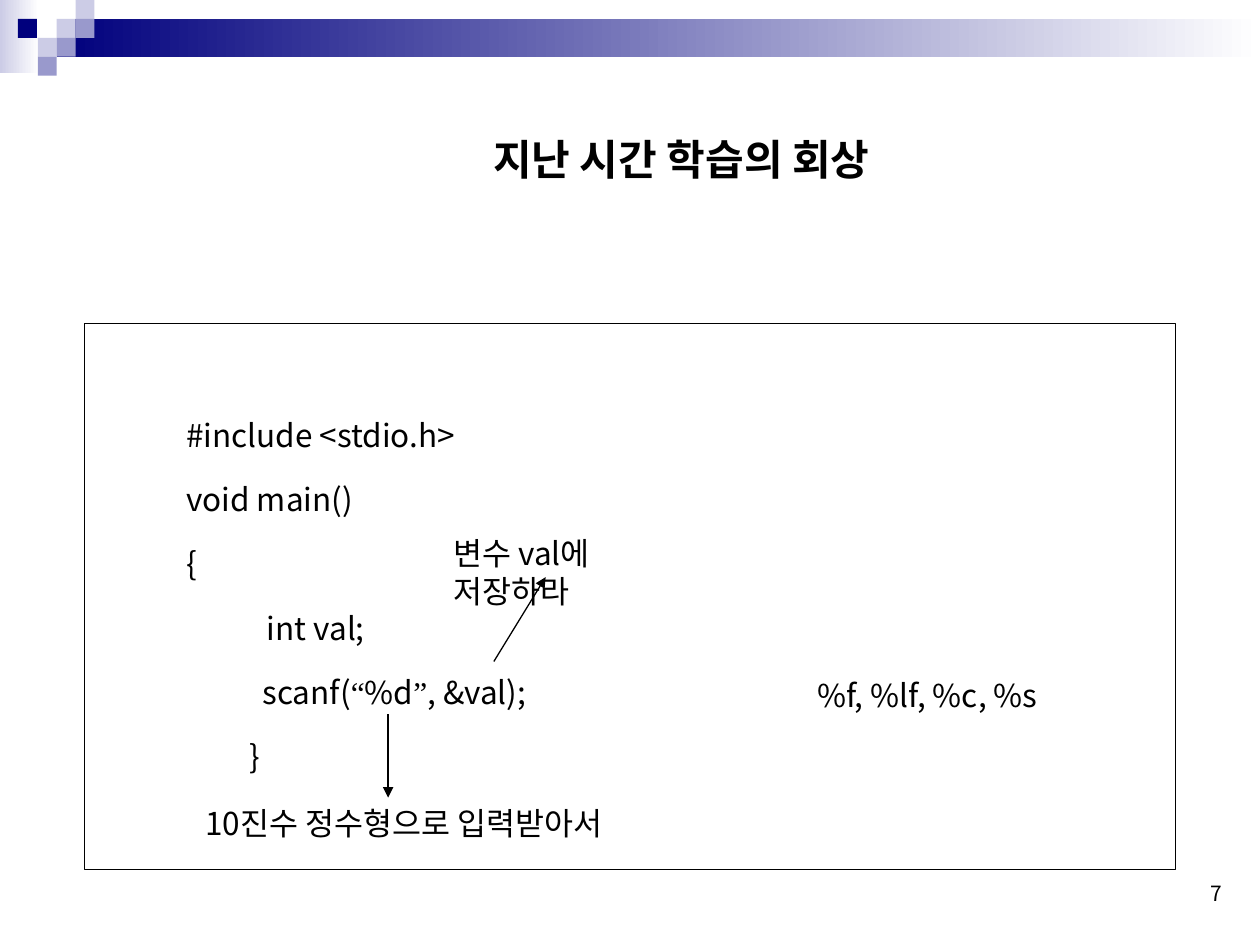
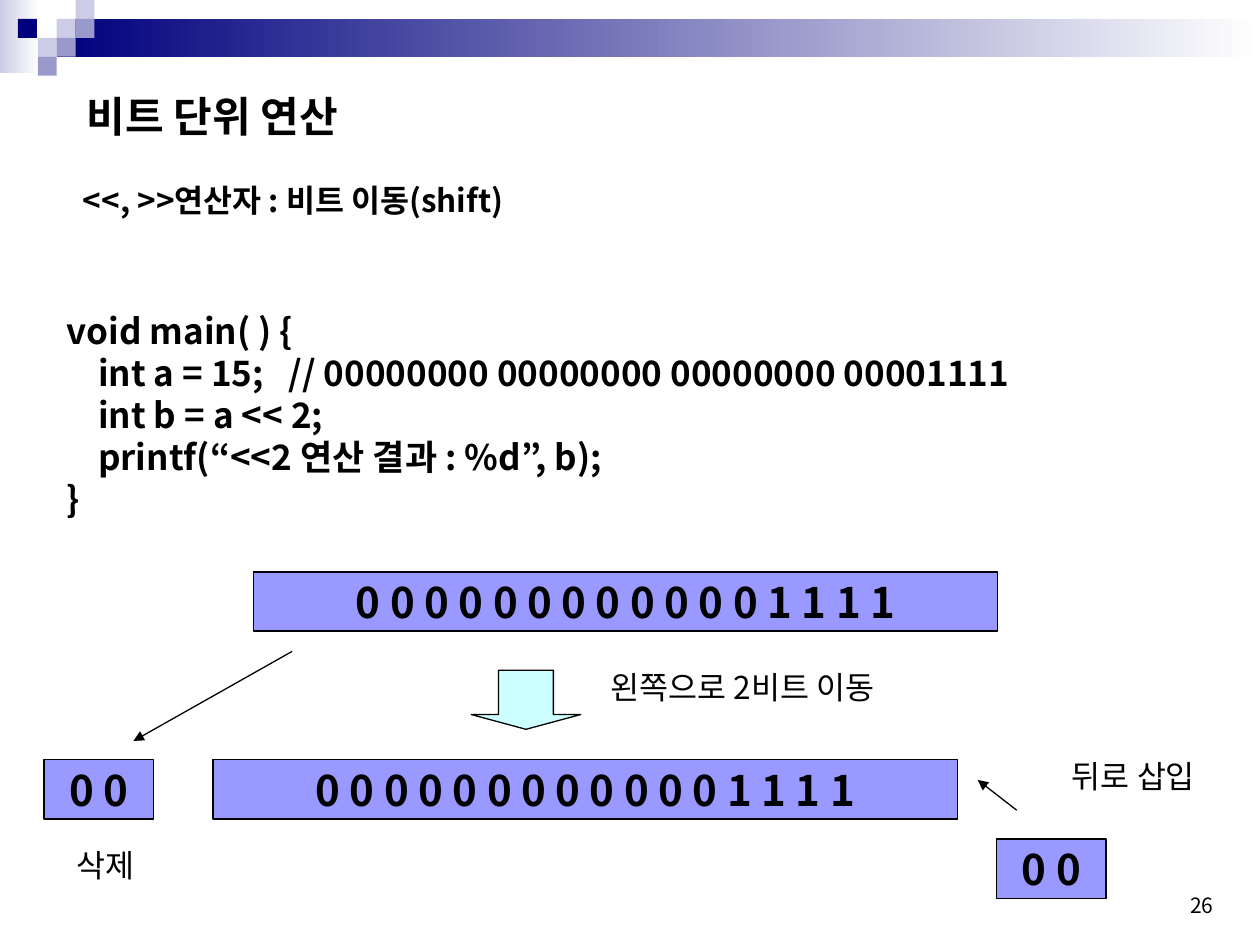
from dataclasses import dataclass

from lxml.etree import SubElement
from pptx import Presentation
from pptx.dml.color import RGBColor
from pptx.enum.shapes import MSO_CONNECTOR, MSO_SHAPE
from pptx.enum.text import MSO_ANCHOR, MSO_AUTO_SIZE, PP_ALIGN
from pptx.oxml.ns import qn
from pptx.util import Pt


@dataclass(frozen=True)
class Theme:
    """Colours, fonts and type sizes of the deck."""
    ink: str = "000000"
    paper: str = "FFFFFF"
    navy: str = "00007D"
    mist: str = "CCCCE6"
    haze: str = "9999CC"
    bits: str = "9999FF"
    shift: str = "CCFFFF"
    sans: str = "Noto Sans CJK KR"
    serif: str = "Times New Roman"
    title: int = 24
    code: int = 20
    body: int = 18
    number: int = 12
    hairline: float = 0.75
    checker: float = 10.8


THEME = Theme()
BITS = "0 0 0 0 0 0 0 0 0 0 0 0 1 1 1 1"
BIT_HEIGHT, LONG_BITS, SHORT_BITS = 33.8, 425.5, 62.6


def color(code):
    """Turn a hex code into a colour."""
    return RGBColor.from_string(code)


def add_run(paragraph, text, size, bold=False, font=THEME.sans):
    """Add one formatted run."""
    run = paragraph.add_run()
    run.text = text
    run.font.size = Pt(size)
    run.font.bold = bold
    run.font.name = font
    run.font.color.rgb = color(THEME.ink)
    SubElement(run.font._element, qn("a:ea"), typeface=THEME.sans)


def set_frame(shape, anchor, wrap, fit=MSO_AUTO_SIZE.NONE):
    """Set anchor, wrapping and fitting of a shape's text and return its frame."""
    frame = shape.text_frame
    frame.vertical_anchor = anchor
    frame.word_wrap = wrap
    frame.auto_size = fit
    return frame


def next_paragraph(frame, index):
    """Return the first paragraph, or a new one after it."""
    return frame.add_paragraph() if index else frame.paragraphs[0]


def set_indent(paragraph, indent):
    """Indent a whole paragraph."""
    properties = paragraph._p.get_or_add_pPr()
    properties.set("marL", str(Pt(indent)))
    properties.set("indent", "0")


def set_tab_stops(paragraph, stops):
    """Give a paragraph left tab stops."""
    tab_list = SubElement(paragraph._p.get_or_add_pPr(), qn("a:tabLst"))
    for stop in stops:
        SubElement(tab_list, qn("a:tab"), pos=str(Pt(stop)), algn="l")


def add_box(slide, box, anchor=MSO_ANCHOR.TOP, wrap=False, fit=MSO_AUTO_SIZE.SHAPE_TO_FIT_TEXT):
    """Add an empty text box and return its frame."""
    return set_frame(slide.shapes.add_textbox(*map(Pt, box)), anchor, wrap, fit)


def add_label(slide, box, *lines, bold=False):
    """Add a body-size label, with line breaks between its lines."""
    paragraph = add_box(slide, box).paragraphs[0]
    for index, line in enumerate(lines):
        if index:
            paragraph.add_line_break()
        add_run(paragraph, line, THEME.body, bold)


def add_title(slide, box, text, anchor, align, font=THEME.sans):
    """Place and fill the title placeholder."""
    title = slide.shapes.title
    title.left, title.top, title.width, title.height = map(Pt, box)
    paragraph = set_frame(title, anchor, False).paragraphs[0]
    paragraph.alignment = align
    add_run(paragraph, text, THEME.title, True, font)


def add_page_number(slide, box, number):
    """Add the page number at the bottom right."""
    paragraph = add_box(slide, box, MSO_ANCHOR.BOTTOM, True, MSO_AUTO_SIZE.NONE).paragraphs[0]
    paragraph.alignment = PP_ALIGN.RIGHT
    add_run(paragraph, number, THEME.number)


def add_block(slide, box, fill=None, outlined=True, preset=MSO_SHAPE.RECTANGLE):
    """Add a preset shape, plain or outlined."""
    block = slide.shapes.add_shape(preset, *map(Pt, box))
    block.shadow.inherit = False
    if fill:
        block.fill.solid()
        block.fill.fore_color.rgb = color(fill)
    else:
        block.fill.background()
    if outlined:
        block.line.color.rgb = color(THEME.ink)
        block.line.width = Pt(THEME.hairline)
    else:
        block.line.fill.background()
    return block


def add_bits(slide, left, top, width, digits):
    """Add a bar of binary digits."""
    bar = add_block(slide, (left, top, width, BIT_HEIGHT), THEME.bits)
    paragraph = set_frame(bar, MSO_ANCHOR.MIDDLE, False).paragraphs[0]
    paragraph.alignment = PP_ALIGN.CENTER
    add_run(paragraph, digits, THEME.title, True)


def add_arrow(slide, start, end):
    """Add a thin arrow from start to end."""
    arrow = slide.shapes.add_connector(MSO_CONNECTOR.STRAIGHT, *map(Pt, start + end))
    arrow.line.color.rgb = color(THEME.ink)
    arrow.line.width = Pt(THEME.hairline)
    SubElement(arrow.line._get_or_add_ln(), qn("a:tailEnd"), type="triangle")
    SubElement(arrow.element.spPr, qn("a:effectLst"))


def add_fade(slide, box, start):
    """Add a band that fades from a colour to the paper."""
    band = add_block(slide, box, outlined=False)
    band.fill.gradient()
    band.fill.gradient_angle = 0
    for stop, code in zip(band.fill.gradient_stops, (start, THEME.paper)):
        stop.color.rgb = color(code)
    return band


def decorate_layout(layout, slide):
    """Draw the header band and checkers and move them to the layout."""
    cell = THEME.checker
    checkers = ((3, 1, THEME.mist), (4, 0, THEME.mist), (4, 1, THEME.haze),
                (2, 2, THEME.mist), (0.95, 1, THEME.navy), (3, 2, THEME.haze),
                (2, 3, THEME.haze))
    header = [add_fade(slide, (0, 0, 22.3, 41.8), THEME.mist),
              add_fade(slide, (3 * cell, cell, 720 - 3 * cell, 2 * cell), THEME.navy)]
    header += [add_block(slide, (column * cell, row * cell, cell, cell), fill, False)
               for column, row, fill in checkers]
    for index, part in enumerate(header):
        part.element.nvSpPr.cNvPr.set("id", str(100 + index))
        layout.shapes.element.insert(2 + index, part.element)


def build_recall(slide):
    """Fill the slide that recalls the last lesson."""
    add_page_number(slide, (535.7, 485.3, 169.9, 36), "7")
    add_title(slide, (206.6, 60.5, 366.5, 59.8), "지난 시간 학습의 회상\t",
              MSO_ANCHOR.MIDDLE, PP_ALIGN.CENTER, THEME.serif)
    add_block(slide, (48.2, 185, 623.5, 311.8))
    program = (
        (0, ("#include <stdio.h>",)),
        (0, ("void main()",)),
        (0, ("{",)),
        (46, ("int val;",)),
        (43.5, ("scanf(", "“", "%d", "”", ", &val);")),
        (36, ("}",)),
    )
    frame = add_box(slide, (99.4, 218.9, 411.1, 227.5), MSO_ANCHOR.MIDDLE, True)
    for index, (indent, pieces) in enumerate(program):
        paragraph = next_paragraph(frame, index)
        paragraph.line_spacing = 1.7
        set_indent(paragraph, indent)
        for piece in pieces:
            add_run(paragraph, piece, THEME.body,
                    font=THEME.serif if piece in "“”" else THEME.sans)
    add_label(slide, (110.2, 455.8, 247.7, 28.8), "10진수 정수형으로 입력받아서")
    add_label(slide, (252, 301.7, 172.8, 28.8), "변수 val에", "저장하라")
    add_arrow(slide, (221.8, 408.2), (221.8, 455.8))
    add_arrow(slide, (282.2, 378), (311.8, 329.8))
    add_label(slide, (460.1, 383, 177.1, 28.8), "%f, %lf, %c, %s")


def build_shift(slide):
    """Fill the slide about the bit shift operators."""
    add_page_number(slide, (516.2, 491.8, 184.3, 36), "26")
    add_title(slide, (42.5, 48.2, 170.6, 36), "비트 단위 연산",
              MSO_ANCHOR.TOP, PP_ALIGN.LEFT)
    add_label(slide, (40.3, 100.1, 339.1, 28.8), "<<, >>연산자 : 비트 이동(shift)", bold=True)
    program = (
        "void main( ) {",
        "\tint a = 15;\t// 00000000 00000000 00000000 00001111",
        "\tint b = a << 2;",
        "\tprintf(“<<2 연산 결과 : %d”, b);",
        "}",
    )
    frame = add_box(slide, (31, 173.5, 646.6, 151.2), wrap=True)
    for index, line in enumerate(program):
        paragraph = next_paragraph(frame, index)
        set_tab_stops(paragraph, (18, 127))
        add_run(paragraph, line, THEME.code, True)
    for left, top, width, digits in (
            (144.7, 326.9, LONG_BITS, BITS), (121.7, 434.2, LONG_BITS, BITS),
            (25.2, 434.2, SHORT_BITS, "0 0"), (569.5, 479.5, SHORT_BITS, "0 0")):
        add_bits(slide, left, top, width, digits)
    add_label(slide, (36.7, 480.2, 47.5, 28.8), "삭제")
    add_arrow(slide, (167, 372.2), (76.3, 423.4))
    add_arrow(slide, (581, 463), (558.7, 445.7))
    add_label(slide, (605.5, 429.1, 89.3, 28.8), "뒤로 삽입")
    down = add_block(slide, (269.3, 383, SHORT_BITS, BIT_HEIGHT), THEME.shift,
                     preset=MSO_SHAPE.DOWN_ARROW)
    down.adjustments[0], down.adjustments[1] = 0.5, 0.25
    add_label(slide, (342, 378, 184.3, 28.8), "왼쪽으로 2비트 이동")


def main():
    """Build and save the deck."""
    deck = Presentation()
    deck.slide_width, deck.slide_height = Pt(720), Pt(540)
    layout = deck.slide_layouts[5]
    recall, shift = (deck.slides.add_slide(layout) for _ in range(2))
    decorate_layout(layout, recall)
    build_recall(recall)
    build_shift(shift)
    deck.save("out.pptx")


if __name__ == "__main__":
    main()
